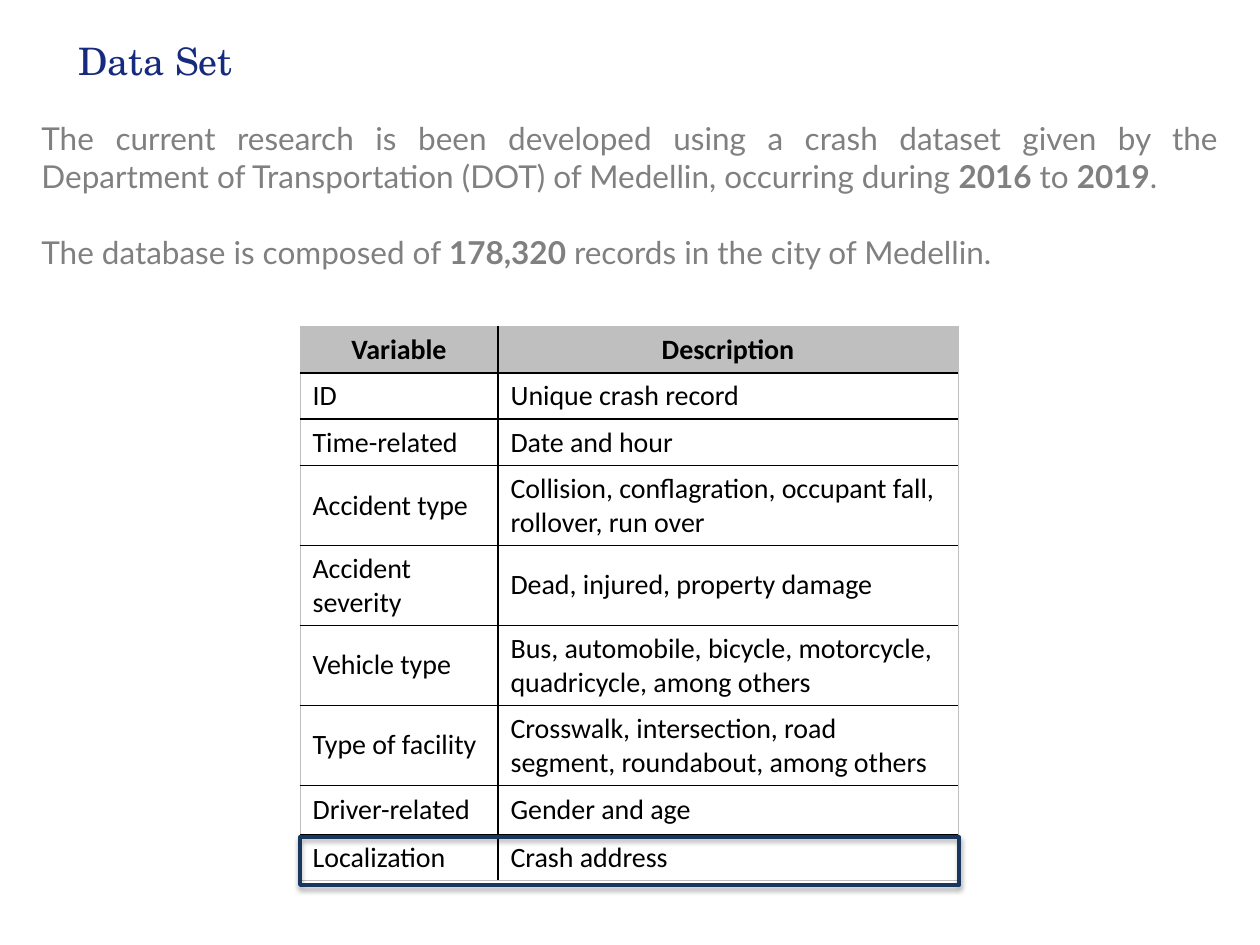
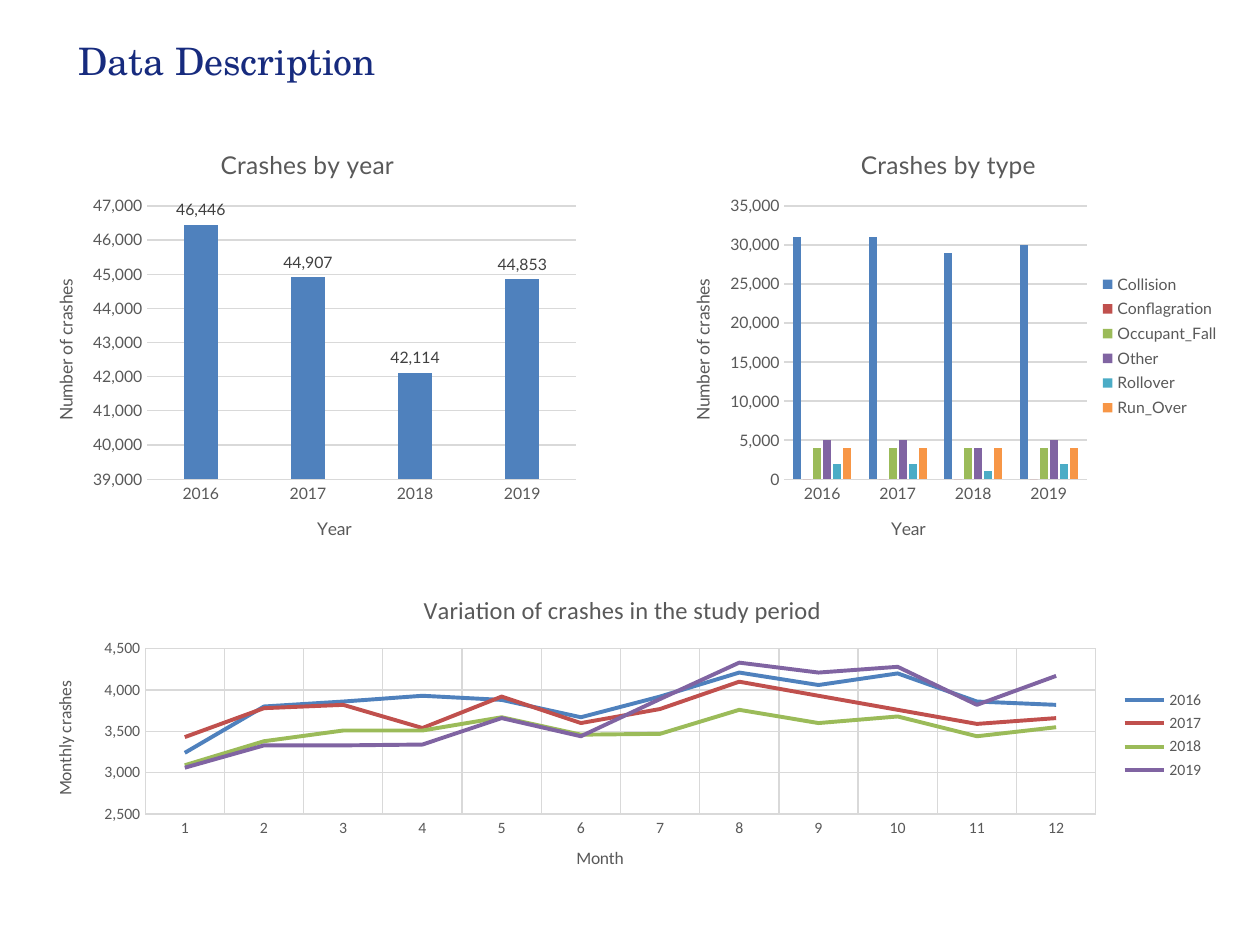
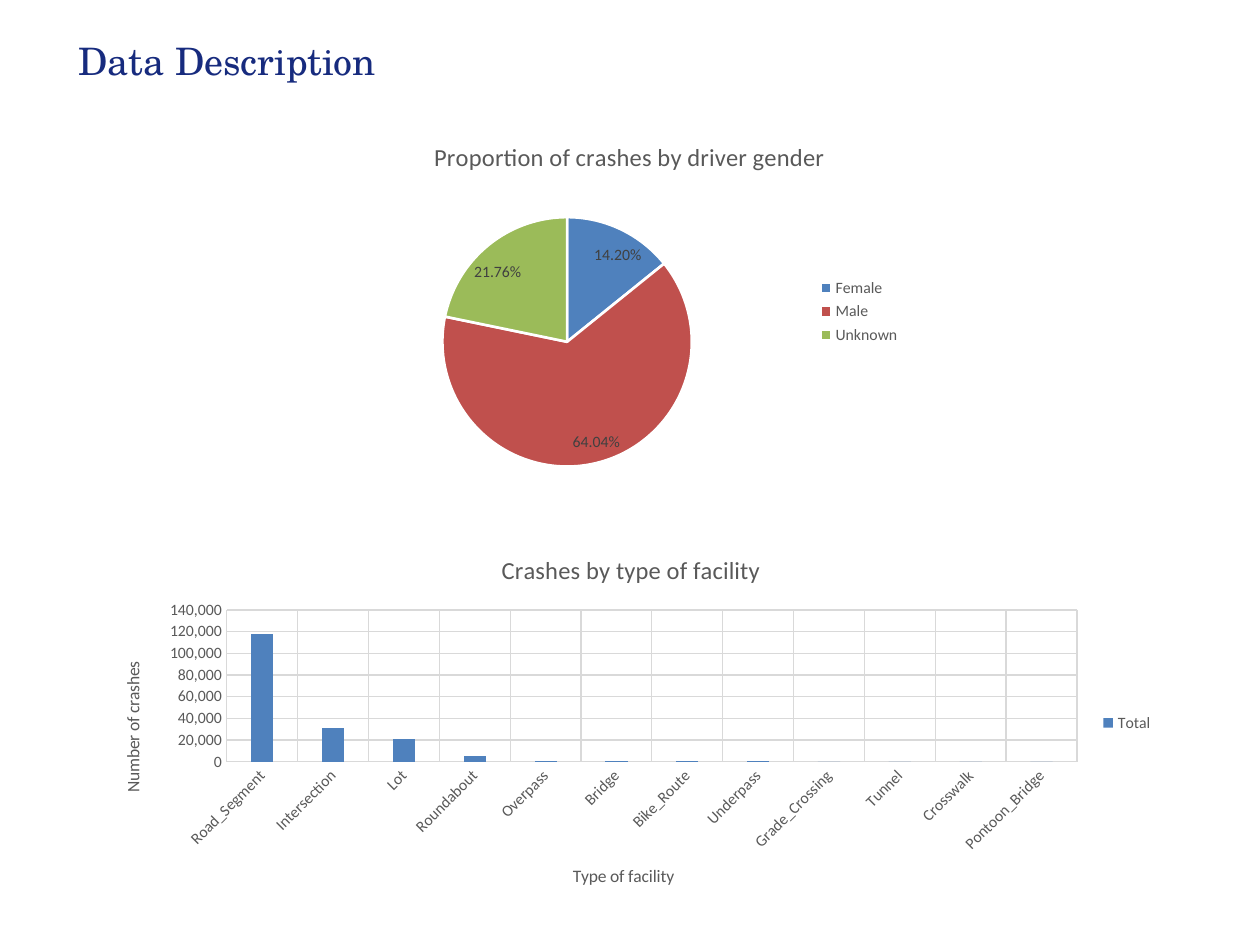
from pptx import Presentation
from pptx.chart.data import CategoryChartData
from pptx.dml.color import RGBColor
from pptx.enum.chart import XL_CHART_TYPE as ChartType
from pptx.enum.chart import XL_LABEL_POSITION as LabelPosition
from pptx.enum.chart import XL_LEGEND_POSITION as LegendPosition
from pptx.enum.chart import XL_TICK_MARK as TickMark
from pptx.enum.shapes import MSO_SHAPE as Shape
from pptx.enum.text import MSO_ANCHOR as Anchor
from pptx.enum.text import MSO_AUTO_SIZE as AutoSize
from pptx.enum.text import PP_ALIGN as Align
from pptx.oxml import parse_xml
from pptx.oxml.ns import nsdecls, qn
from pptx.util import Emu, Pt

# Shared look
EMU_PER_PX = 914400 / 126
COLORS = {
    "title": "172B7E", "body": "808080", "ink": "000000", "header": "BFBFBF",
    "highlight": "17375E", "axis": "595959", "label": "404040",
    "grid": "D9D9D9", "white": "FFFFFF",
    "blue": "4F81BD", "red": "C0504D", "green": "9BBB59",
    "purple": "8064A2", "teal": "4BACC6", "orange": "F79646",
}
SERIES_COLORS = ["blue", "red", "green", "purple", "teal", "orange"]
TITLE_FONT = {"name": "TeX Gyre Schola", "size": Pt(21.6)}
BODY_FONT = {"name": "Lato", "size": Pt(18)}
TABLE_FONT = {"name": "Calibri", "size": Pt(16)}
COUNT_FORMAT = "#,##0"

# Content
YEARS = ["2016", "2017", "2018", "2019"]
MONTHS = [str(month) for month in range(1, 13)]
VARIABLES = [
    ("Variable", "Description", 47),
    ("ID", "Unique crash record", 46),
    ("Time-related", "Date and hour", 46),
    ("Accident type", "Collision, conflagration, occupant fall, rollover, run over", 80),
    ("Accident severity", "Dead, injured, property damage", 80),
    ("Vehicle type", "Bus, automobile, bicycle, motorcycle, quadricycle, among others", 80),
    ("Type of facility", "Crosswalk, intersection, road segment, roundabout, among others", 80),
    ("Driver-related", "Gender and age", 49),
    ("Localization", "Crash address", 46),
]
YEARLY = {"Series 1": [46446, 44907, 42114, 44853]}
BY_TYPE = {
    "Collision": [31000, 31000, 29000, 30000],
    "Conflagration": [0, 0, 0, 0],
    "Occupant_Fall": [4000, 4000, 4000, 4000],
    "Other": [5000, 5000, 4000, 5000],
    "Rollover": [2000, 2000, 1000, 2000],
    "Run_Over": [4000, 4000, 4000, 4000],
}
MONTHLY = {
    "2016": [3240, 3800, 3860, 3930, 3880, 3670, 3920, 4210, 4060, 4200, 3860, 3820],
    "2017": [3430, 3780, 3820, 3540, 3920, 3600, 3770, 4100, 3930, 3760, 3590, 3660],
    "2018": [3090, 3380, 3510, 3510, 3670, 3460, 3470, 3760, 3600, 3680, 3440, 3550],
    "2019": [3060, 3330, 3330, 3340, 3660, 3440, 3890, 4330, 4210, 4280, 3820, 4170],
}
GENDER = {"Female": 0.142, "Male": 0.6404, "Unknown": 0.2176}
FACILITIES = {
    "Road_Segment": 118000, "Intersection": 31000, "Lot": 21000,
    "Roundabout": 5000, "Overpass": 1000, "Bridge": 1000,
    "Bike_Route": 1000, "Underpass": 1000, "Grade_Crossing": 0,
    "Tunnel": 0, "Crosswalk": 0, "Pontoon_Bridge": 0,
}


# Helpers
def px(*lengths):
    return [Emu(round(length * EMU_PER_PX)) for length in lengths]


def rgb(color):
    return RGBColor.from_string(COLORS[color])


def apply(target, values):
    for name, value in values.items():
        setattr(target, name, value)


def style_font(font, values, color):
    apply(font, values)
    font.color.rgb = rgb(color)


def style_line(line, color, width):
    line.color.rgb = rgb(color)
    line.width = Pt(width)


def rotate_text(element, degrees):
    for body in element.iter(qn("a:bodyPr")):
        body.set("rot", str(degrees * 60000))
        body.set("vert", "horz")


# Text, table and highlight
def add_titled_slide(deck, title):
    slide = deck.slides.add_slide(deck.slide_layouts[6])
    frame = slide.shapes.add_textbox(*px(66, 33, 911, 54)).text_frame
    apply(frame, {"word_wrap": True, "vertical_anchor": Anchor.MIDDLE})
    run = frame.paragraphs[0].add_run()
    run.text = title
    style_font(run.font, TITLE_FONT, "title")
    return slide


def add_body(slide, box, paragraphs):
    """Each paragraph is a list of pieces; every second piece is bold."""
    frame = slide.shapes.add_textbox(*px(*box)).text_frame
    apply(frame, {"word_wrap": True, "auto_size": AutoSize.SHAPE_TO_FIT_TEXT})
    for index, pieces in enumerate(paragraphs):
        paragraph = frame.add_paragraph() if index else frame.paragraphs[0]
        paragraph.alignment = Align.JUSTIFY
        if index:
            paragraph.space_before = Pt(21.6)
        for place, piece in enumerate(pieces):
            run = paragraph.add_run()
            run.text = piece
            style_font(run.font, {**BODY_FONT, "bold": place % 2 == 1}, "body")


def set_borders(cell, outer_sides):
    properties = cell._tc.get_or_add_tcPr()
    for index, side in enumerate("LRTB"):
        color, width = ("header", 6350) if side in outer_sides else ("ink", 12700)
        properties.insert(index, parse_xml(
            f'<a:ln{side} {nsdecls("a")} w="{width}"><a:solidFill>'
            f'<a:srgbClr val="{COLORS[color]}"/></a:solidFill></a:ln{side}>'))


def add_variable_table(slide, left, top, widths, rows):
    heights = [row[-1] for row in rows]
    table = slide.shapes.add_table(
        len(rows), len(widths), *px(left, top, sum(widths), sum(heights))).table
    apply(table, {"first_row": False, "horz_banding": False})
    for column, width in zip(table.columns, px(*widths)):
        column.width = width
    for row, height in zip(table.rows, px(*heights)):
        row.height = height
    for r, row in enumerate(rows):
        for c, text in enumerate(row[:-1]):
            cell = table.cell(r, c)
            apply(cell, {"text": text, "vertical_anchor": Anchor.MIDDLE})
            paragraph = cell.text_frame.paragraphs[0]
            paragraph.alignment = Align.LEFT if r else Align.CENTER
            style_font(paragraph.runs[0].font, {**TABLE_FONT, "bold": r == 0}, "ink")
            if r:
                cell.fill.background()
            else:
                cell.fill.solid()
                cell.fill.fore_color.rgb = rgb("header")
            outer = "R" if c else "L"
            outer += {0: "T", len(rows) - 1: "B"}.get(r, "")
            set_borders(cell, outer)


def add_highlight(slide, box):
    frame = slide.shapes.add_shape(Shape.RECTANGLE, *px(*box))
    frame.fill.background()
    style_line(frame.line, "highlight", 2.25)
    frame.shadow.inherit = False
    frame._element.spPr.find(qn("a:effectLst")).append(parse_xml(
        f'<a:outerShdw {nsdecls("a")} blurRad="39370" dist="22860" dir="5400000" '
        f'rotWithShape="0"><a:srgbClr val="{COLORS["ink"]}">'
        '<a:alpha val="35000"/></a:srgbClr></a:outerShdw>'))


# Charts
def set_chart_text(title, text, size, font):
    title.text_frame.text = text
    run = title.text_frame.paragraphs[0].runs[0]
    style_font(run.font, {"name": font, "size": Pt(size), "bold": False}, "axis")


def add_chart(slide, box, kind, title, categories, series, font,
              number_format=COUNT_FORMAT, legend=True):
    data = CategoryChartData(number_format=number_format)
    data.categories = categories
    for name, values in series.items():
        data.add_series(name, values)
    chart = slide.shapes.add_chart(kind, *px(*box), data).chart
    style_font(chart.font, {"name": font, "size": Pt(10)}, "ink")
    apply(chart, {"has_title": True, "has_legend": legend})
    set_chart_text(chart.chart_title, title, 14, font)
    chart.chart_title.include_in_layout = False
    chart.plots[0].vary_by_categories = kind == ChartType.PIE
    if legend:
        apply(chart.legend, {"position": LegendPosition.RIGHT, "include_in_layout": False})
        style_font(chart.legend.font, {"name": font, "size": Pt(9)}, "axis")
    return chart


def style_axes(chart, category_title, value_title, font, category_grid=False):
    category, value = chart.category_axis, chart.value_axis
    for axis, text, grid in ((category, category_title, category_grid),
                             (value, value_title, True)):
        apply(axis, {"has_title": True, "has_major_gridlines": grid,
                     "major_tick_mark": TickMark.NONE, "minor_tick_mark": TickMark.NONE})
        set_chart_text(axis.axis_title, text, 10, font)
        style_font(axis.tick_labels.font, {"name": font, "size": Pt(9)}, "axis")
        if grid:
            style_line(axis.major_gridlines.format.line, "grid", 0.75)
    style_line(category.format.line, "grid", 0.75)
    value.format.line.fill.background()
    apply(value.tick_labels, {"number_format": COUNT_FORMAT, "number_format_is_linked": False})
    rotate_text(value.axis_title._element, -90)


def style_columns(chart):
    apply(chart.plots[0], {"gap_width": 219, "overlap": -27})
    for series, color in zip(chart.series, SERIES_COLORS):
        series.format.fill.solid()
        series.format.fill.fore_color.rgb = rgb(color)


def style_lines(chart):
    for series, color in zip(chart.series, SERIES_COLORS):
        series.smooth = False
        style_line(series.format.line, color, 2.25)


def style_slices(chart, count):
    for index, color in enumerate(SERIES_COLORS[:count]):
        look = chart.series[0].points[index].format
        look.fill.solid()
        look.fill.fore_color.rgb = rgb(color)
        style_line(look.line, "white", 1.5)


def add_value_labels(chart, position, number_format, font):
    labels = chart.series[0].data_labels
    apply(labels, {"show_value": True, "position": position,
                   "number_format": number_format, "number_format_is_linked": False})
    style_font(labels.font, {"name": font, "size": Pt(9)}, "label")


def place_plot(chart, **fractions):
    plot_area = chart._chartSpace.chart.plotArea
    for layout in plot_area.findall(qn("c:layout")):
        plot_area.remove(layout)
    sizes = "".join(f'<c:{name} val="{value}"/>' for name, value in fractions.items())
    plot_area.insert(0, parse_xml(
        f'<c:layout {nsdecls("c")}><c:manualLayout><c:layoutTarget val="inner"/>'
        f'<c:xMode val="edge"/><c:yMode val="edge"/>{sizes}</c:manualLayout></c:layout>'))


# Slides
def build_data_set(deck):
    slide = add_titled_slide(deck, "Data Set")
    add_body(slide, (29, 113, 1202, 165), [
        ["The current research is been developed using a crash dataset given by the "
         "Department of Transportation (DOT) of Medellin, occurring during ",
         "2016", " to ", "2019", "."],
        ["The database is composed of ", "178,320", " records in the city of Medellin."],
    ])
    add_variable_table(slide, 300, 326, [198, 460], VARIABLES)
    add_highlight(slide, (300, 837, 659, 48))


def build_crash_counts(deck):
    slide = add_titled_slide(deck, "Data Description")
    columns = ChartType.COLUMN_CLUSTERED

    by_year = add_chart(slide, (28, 127, 559, 438), columns, "Crashes by year",
                        YEARS, YEARLY, "Lato", legend=False)
    add_value_labels(by_year, LabelPosition.OUTSIDE_END, COUNT_FORMAT, "Lato")
    by_type = add_chart(slide, (665, 127, 567, 438), columns, "Crashes by type",
                        YEARS, BY_TYPE, "Lato")
    for chart in (by_year, by_type):
        style_axes(chart, "Year", "Number of crashes", "Lato")
        style_columns(chart)

    monthly = add_chart(slide, (28, 575, 1189, 320), ChartType.LINE,
                        "Variation of crashes in the study period",
                        MONTHS, MONTHLY, "Calibri")
    style_axes(monthly, "Month", "Monthly crashes", "Calibri", category_grid=True)
    monthly.value_axis.minimum_scale = 2500
    style_lines(monthly)


def build_gender_and_facility(deck):
    slide = add_titled_slide(deck, "Data Description")

    gender = add_chart(slide, (346, 121, 567, 381), ChartType.PIE,
                       "Proportion of crashes by driver gender", list(GENDER),
                       {"Series 1": list(GENDER.values())}, "Calibri", "0.00%")
    style_slices(gender, len(GENDER))
    add_value_labels(gender, LabelPosition.BEST_FIT, "0.00%", "Calibri")
    place_plot(gender, x=0.17, y=0.25, w=0.44, h=0.66)

    facility = add_chart(slide, (96, 534, 1070, 378), ChartType.COLUMN_CLUSTERED,
                         "Crashes by type of facility", list(FACILITIES),
                         {"Total": list(FACILITIES.values())}, "Calibri")
    style_axes(facility, "Type of facility", "Number of crashes", "Calibri",
               category_grid=True)
    style_columns(facility)
    rotate_text(facility.category_axis._element.find(qn("c:txPr")), -45)


def main():
    deck = Presentation()
    deck.slide_width, deck.slide_height = px(1260, 945)
    build_data_set(deck)
    build_crash_counts(deck)
    build_gender_and_facility(deck)
    deck.save("out.pptx")


if __name__ == "__main__":
    main()
